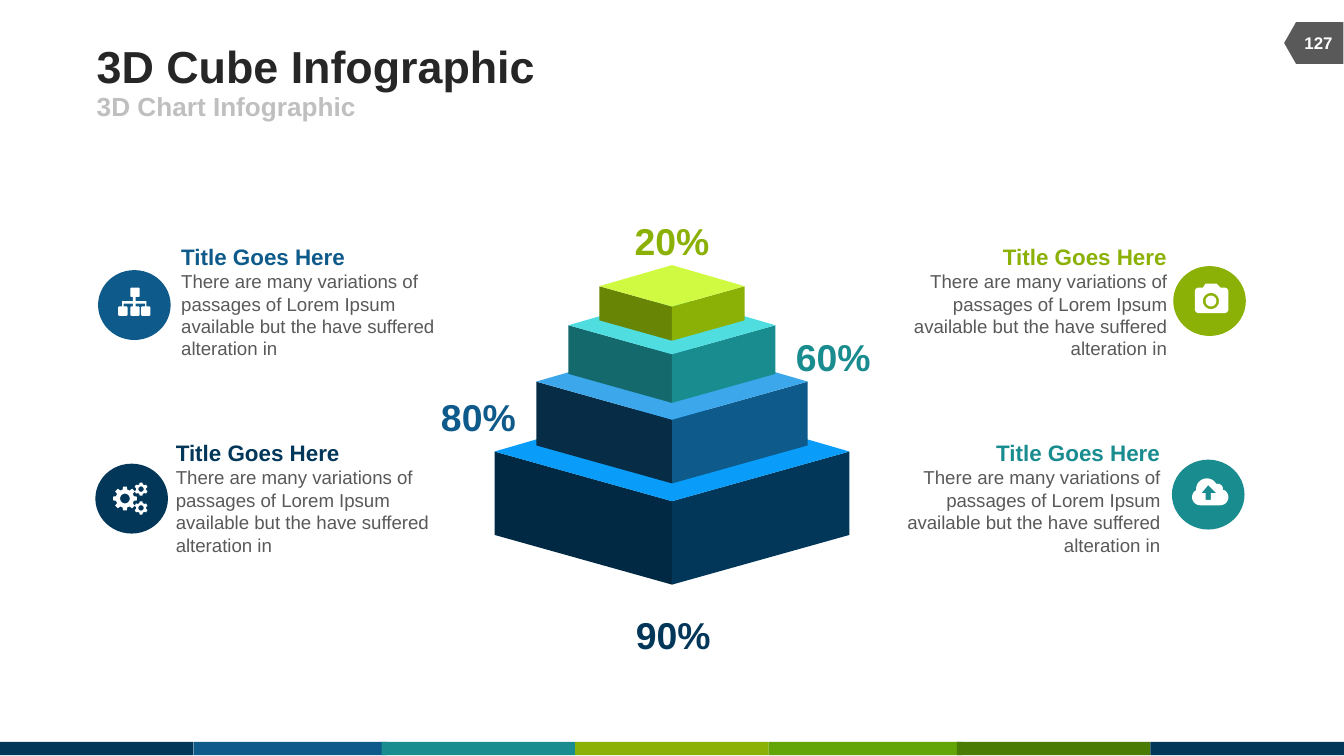
from math import cos, sin, radians

from pptx import Presentation
from pptx.dml.color import RGBColor
from pptx.enum.shapes import MSO_SHAPE as Shape
from pptx.enum.text import MSO_ANCHOR as Anchor, PP_ALIGN as Align
from pptx.util import Inches, Pt

HEX = {
    "navy": "023759", "navy dark": "012943", "navy top": "099CF9",
    "blue": "0E5A8B", "blue dark": "072D46", "blue top": "3CA7EB",
    "teal": "198C8F", "teal dark": "13696B", "teal top": "50DDE0",
    "lime": "8BB106", "lime dark": "688505", "lime top": "D0F941",
    "green": "63A406", "moss": "4A7B04", "white": "FFFFFF",
    "ink": "262626", "gray": "595959", "pale": "BFBFBF",
}
FONT = "Arial"
HEAD = "Title Goes Here"
BODY = ("There are many variations of passages of Lorem Ipsum "
        "available but the have suffered alteration in")

# left edge, colour
BAR = [(0, "navy"), (1.44, "blue"), (2.84, "teal"), (4.28, "lime"),
       (5.72, "green"), (7.12, "moss"), (8.56, "navy")]
# colour, half width, height of the side corners on the slide
TIERS = [("navy", 1.32, 3.36), ("blue", 1.01, 2.84),
         ("teal", 0.77, 2.42), ("lime", 0.54, 2.13)]
# value, colour, left, top
VALUES = [("90%", "navy", 4.73, 4.55), ("80%", "blue", 3.28, 2.93),
          ("60%", "teal", 5.92, 2.48), ("20%", "lime", 4.72, 1.62)]
# colour, text box (left, top, width), alignment, disc (left, top), icon
CARDS = [
    ("navy", (1.21, 3.22, 2.36), Align.LEFT, (0.71, 3.45), "gears"),
    ("blue", (1.25, 1.76, 2.36), Align.LEFT, (0.73, 2.01), "tree"),
    ("teal", (6.59, 3.22, 2.14), Align.RIGHT, (8.72, 3.42), "cloud"),
    ("lime", (6.64, 1.76, 2.14), Align.RIGHT, (8.73, 1.98), "camera"),
]


def arc(x, y, r, start=0, end=360):
    return [(x + r * cos(radians(a)), y + r * sin(radians(a)))
            for a in range(start, end + 1, 10)]


def round_box(x, y, w, h, r):
    return (arc(x + w - r, y + h - r, r, 0, 90) + arc(x + r, y + h - r, r, 90, 180)
            + arc(x + r, y + r, r, 180, 270) + arc(x + w - r, y + r, r, 270, 360))


def gear(x, y, r, teeth, turn=0):
    """Outline of a cog wheel, then its hole."""
    step = 360 / teeth
    rim = []
    for i in range(teeth):
        for shift, size in ((-0.32, 0.76), (-0.2, 1), (0.2, 1), (0.32, 0.76)):
            a = radians((i + shift) * step + turn)
            rim.append((x + r * size * cos(a), y + r * size * sin(a)))
    return [rim, arc(x, y, r * 0.4)]


# outlines measured from the corner of the disc; inner ones are holes
ICONS = {
    "gears": (gear(0.22, 0.26, 0.09, 8) + gear(0.34, 0.19, 0.05, 6, 30)
              + gear(0.34, 0.33, 0.05, 6, 30)),
    "tree": [round_box(x, y, 0.07, 0.07, 0.01)
             for x, y in ((0.24, 0.13), (0.15, 0.27), (0.24, 0.27), (0.32, 0.27))] + [
        [(0.26, 0.2), (0.28, 0.2), (0.28, 0.23), (0.36, 0.23), (0.36, 0.27),
         (0.35, 0.27), (0.35, 0.25), (0.28, 0.25), (0.28, 0.27), (0.26, 0.27),
         (0.26, 0.25), (0.19, 0.25), (0.19, 0.27), (0.18, 0.27), (0.18, 0.23),
         (0.26, 0.23)]],
    "cloud": [
        arc(0.21, 0.28, 0.06, 90, 240) + arc(0.26, 0.22, 0.08, 180, 330)
        + arc(0.34, 0.22, 0.04, 250, 370) + arc(0.36, 0.28, 0.06, -60, 90),
        [(0.27, 0.19), (0.33, 0.25), (0.29, 0.25), (0.29, 0.3), (0.25, 0.3),
         (0.25, 0.25), (0.22, 0.25)]],
    "camera": [
        round_box(0.16, 0.16, 0.25, 0.19, 0.03),
        [(0.22, 0.16), (0.24, 0.13), (0.32, 0.13), (0.35, 0.16)],
        arc(0.28, 0.26, 0.06), arc(0.28, 0.26, 0.04)],
}


def rgb(name):
    return RGBColor.from_string(HEX[name])


def paint(shape, color):
    shape.shadow.inherit = False
    shape.fill.solid()
    shape.fill.fore_color.rgb = rgb(color)
    shape.line.fill.background()
    return shape


def block(shapes, kind, box, color):
    return paint(shapes.add_shape(kind, *map(Inches, box)), color)


def outline(shapes, loops, color, left=0, top=0):
    loops = [[(Inches(left + x), Inches(top + y)) for x, y in loop] for loop in loops]
    pen = shapes.build_freeform(*loops[0][0])
    for i, loop in enumerate(loops):
        if i:
            pen.move_to(*loop[0])
        pen.add_line_segments(loop[1:], close=True)
    return paint(pen.convert_to_shape(), color)


def write(shapes, box, lines, align=Align.LEFT, anchor=Anchor.TOP, wrap=False, pad=None):
    """Lines hold text, size, colour and bold."""
    frame = shapes.add_textbox(*map(Inches, box)).text_frame
    frame.word_wrap = wrap
    frame.vertical_anchor = anchor
    if pad is not None:
        frame.margin_left = frame.margin_right = Inches(pad)
        frame.margin_top = frame.margin_bottom = Inches(pad)
    frame.text = "\n".join(line[0] for line in lines)
    for para, (_, size, color, bold) in zip(frame.paragraphs, lines):
        para.alignment = align
        font = para.runs[0].font
        font.name, font.size, font.bold = FONT, Pt(size), bold
        font.color.rgb = rgb(color)


def cube(shapes, color, half, y, mid=5):
    """Left side, right side and top of one tier."""
    tilt, deep, rise = 0.28 * half, 0.47 * half, 0.29 * half
    for edge, shade in ((mid - half, color + " dark"), (mid + half, color)):
        outline(shapes, [[(edge, y), (mid, y + tilt), (mid, y + tilt + deep),
                          (edge, y + deep)]], shade)
    outline(shapes, [[(mid - half, y), (mid, y - rise), (mid + half, y),
                      (mid, y + tilt)]], color + " top")


def main():
    deck = Presentation()
    deck.slide_width, deck.slide_height = Inches(10), Inches(10 * 9 / 16)
    shapes = deck.slides.add_slide(deck.slide_layouts[6]).shapes

    strip = shapes.add_group_shape().shapes
    for left, color in BAR:
        block(strip, Shape.RECTANGLE, (left, 5.52, 1.44, 0.1), color)
    tag = block(shapes, Shape.FLOWCHART_OFFPAGE_CONNECTOR, (9.62, 0.1, 0.31, 0.44), "gray")
    tag.rotation = 90

    write(shapes, (0.72, 0.29, 6.17, 0.39), [("3D Cube Infographic", 24, "ink", True)],
          anchor=Anchor.MIDDLE, pad=0)
    write(shapes, (0.72, 0.68, 4.5, 0.22), [("3D Chart Infographic", 14, "pale", True)],
          anchor=Anchor.MIDDLE, pad=0)
    write(shapes, (9.6, 0.17, 0.42, 0.3), [("127", 9, "white", True)],
          Align.CENTER, Anchor.MIDDLE, wrap=True)

    for tier in TIERS:
        cube(shapes.add_group_shape().shapes, *tier)
    for value, color, left, top in VALUES:
        write(shapes, (left, top, 0.56, 0.34), [(value, 20, color, True)],
              Align.CENTER, Anchor.BOTTOM, pad=0)
    for color, box, align, disc, icon in CARDS:
        write(shapes, (*box, 0.98), [(HEAD, 12, color, True), (BODY, 10, "gray", False)],
              align, wrap=True)
        badge = shapes.add_group_shape().shapes
        block(badge, Shape.OVAL, (*disc, 0.54, 0.52), color)
        outline(badge, ICONS[icon], "white", *disc)

    deck.save("out.pptx")


if __name__ == "__main__":
    main()
